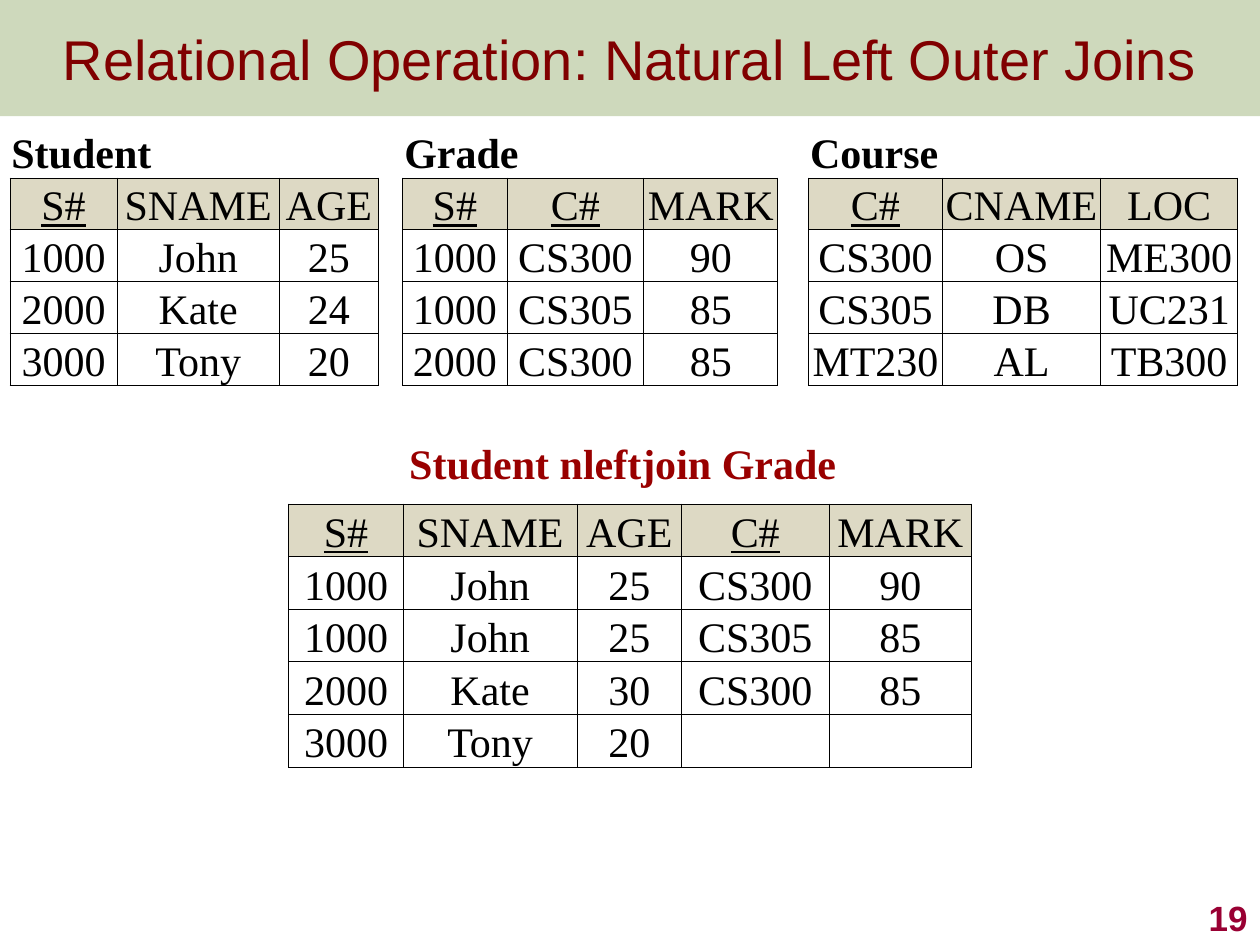
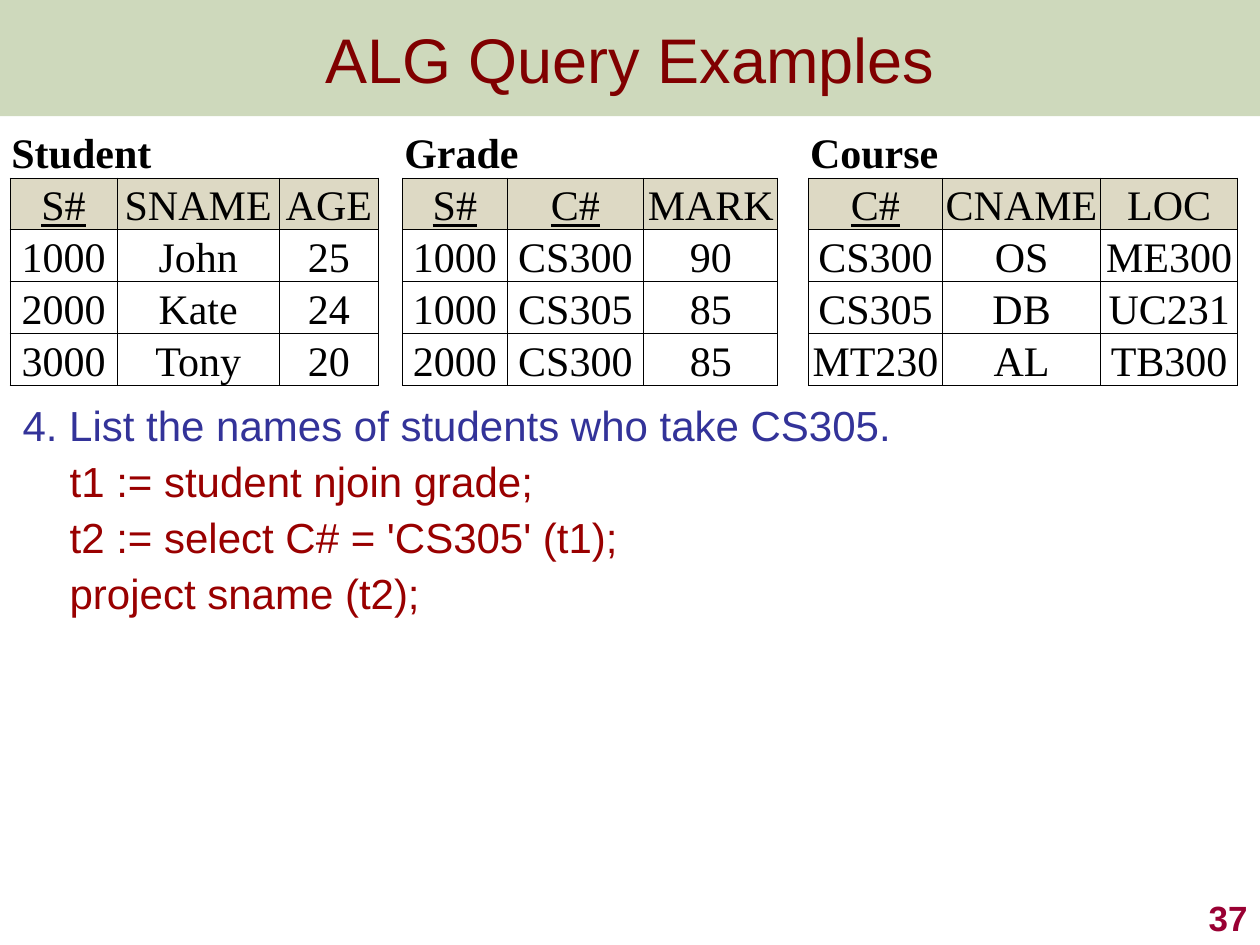
from dataclasses import dataclass, replace

from lxml.etree import SubElement
from pptx import Presentation
from pptx.dml.color import RGBColor as RGB
from pptx.enum.text import MSO_ANCHOR as ANCHOR, MSO_AUTO_SIZE as AUTO_SIZE, PP_ALIGN as ALIGN
from pptx.oxml.ns import qn
from pptx.util import Cm, Pt

NO_GRID_STYLE = "{2D5ABB26-0587-4C30-8999-92F81FD0307C}"
ALL_SIDES = "LRTB"


@dataclass(frozen=True)
class TextStyle:
    font: str
    size: int
    color: RGB
    bold: bool = False
    underline: bool = False
    align: ALIGN = ALIGN.LEFT


@dataclass(frozen=True)
class Theme:
    band: RGB = RGB(0x5F, 0x84, 0x22)
    band_opacity: int = 30
    header_fill: RGB = RGB(0xDD, 0xD9, 0xC4)
    cell_fill: RGB = RGB(0xFF, 0xFF, 0xFF)
    border: RGB = RGB(0, 0, 0)
    border_width: float = 0.5
    title: TextStyle = TextStyle("Arial", 36, RGB(0x80, 0, 0), align=ALIGN.CENTER)
    long_title_size: int = 32
    number: TextStyle = TextStyle("Arial", 20, RGB(0x99, 0, 0x33), bold=True, align=ALIGN.RIGHT)
    cell: TextStyle = TextStyle("Times New Roman", 24, RGB(0, 0, 0), align=ALIGN.CENTER)
    relation_name: TextStyle = TextStyle("Times New Roman", 24, RGB(0, 0, 0), bold=True)
    expression: TextStyle = TextStyle("Times New Roman", 24, RGB(0x99, 0, 0), bold=True)
    question: TextStyle = TextStyle("Arial", 24, RGB(0x33, 0x33, 0x99))
    query: TextStyle = TextStyle("Arial", 24, RGB(0x99, 0, 0))


@dataclass(frozen=True)
class Relation:
    name: str
    columns: tuple[str, ...]
    widths: tuple[float, ...]
    rows: tuple[tuple[str, ...], ...]


THEME = Theme()

DATABASE = (
    Relation("Student", ("S#", "SNAME", "AGE"), (2.16, 3.27, 2.0),
             (("1000", "John", "25"), ("2000", "Kate", "24"), ("3000", "Tony", "20"))),
    Relation("Grade", ("S#", "C#", "MARK"), (2.1, 2.76, 2.7),
             (("1000", "CS300", "90"), ("1000", "CS305", "85"), ("2000", "CS300", "85"))),
    Relation("Course", ("C#", "CNAME", "LOC"), (2.7, 3.19, 2.76),
             (("CS300", "OS", "ME300"), ("CS305", "DB", "UC231"), ("MT230", "AL", "TB300"))),
)
DATABASE_GAPS = (0.49, 0.62)

LEFT_JOIN = Relation(
    "Student nleftjoin Grade", ("S#", "SNAME", "AGE", "C#", "MARK"), (2.31, 3.5, 2.11, 2.97, 2.88),
    (("1000", "John", "25", "CS300", "90"), ("1000", "John", "25", "CS305", "85"),
     ("2000", "Kate", "30", "CS300", "85"), ("3000", "Tony", "20", "", "")))

QUESTION = "4. List the names of students who take CS305."
QUERY = ("t1 := student njoin grade;", "t2 := select C# = 'CS305' (t1);", "project sname (t2);")


def write(p, text: str, style: TextStyle) -> None:
    p.text = text
    p.alignment = style.align
    f = p.font
    f.name, f.size, f.bold, f.underline = style.font, Pt(style.size), style.bold, style.underline
    f.color.rgb = style.color


def place(sp, left: float, top: float, width: float, height: float) -> None:
    sp.left, sp.top, sp.width, sp.height = Cm(left), Cm(top), Cm(width), Cm(height)


def add_label(slide, left: float, top: float, width: float, text: str, style: TextStyle,
              anchor: ANCHOR = ANCHOR.TOP, wrap: bool = True) -> None:
    tf = slide.shapes.add_textbox(Cm(left), Cm(top), Cm(width), Cm(1.27)).text_frame
    tf.word_wrap, tf.vertical_anchor = wrap, anchor
    write(tf.paragraphs[0], text, style)


def add_slide(prs, layout: int, title: str, number: int, style: TextStyle = THEME.title):
    """Add a slide with its title band and slide number."""
    slide = prs.slides.add_slide(prs.slide_layouts[layout])
    sp = slide.shapes.title
    place(sp, 0, 0, 25.4, 2.34)
    sp.fill.solid()
    sp.fill.fore_color.rgb = THEME.band
    color = next(sp.element.iter(qn("a:srgbClr")))
    SubElement(color, qn("a:alpha"), val=str(THEME.band_opacity * 1000))
    tf = sp.text_frame
    tf.auto_size, tf.vertical_anchor = AUTO_SIZE.NONE, ANCHOR.MIDDLE
    write(tf.paragraphs[0], title, style)
    add_label(slide, 20.12, 17.78, 5.28, str(number), THEME.number, ANCHOR.BOTTOM)
    return slide


def add_table(slide, left: float, top: float, widths: list[float], rows: int, row_height: float):
    """Add a table without a built-in style and return it."""
    frame = slide.shapes.add_table(rows, len(widths), Cm(left), Cm(top),
                                   Cm(sum(widths)), Cm(rows * row_height))
    next(frame.element.iter(qn("a:tableStyleId"))).text = NO_GRID_STYLE
    table = frame.table
    table.first_row = table.horz_banding = False
    for column, width in zip(table.columns, widths):
        column.width = Cm(width)
    for row in table.rows:
        row.height = Cm(row_height)
    return table


def set_borders(cell, sides: str) -> None:
    tc_pr = cell._tc.get_or_add_tcPr()
    for i, side in enumerate(sides):
        ln = SubElement(tc_pr, qn(f"a:ln{side}"), w=str(Pt(THEME.border_width)))
        SubElement(SubElement(ln, qn("a:solidFill")), qn("a:srgbClr"), val=str(THEME.border))
        tc_pr.insert(i, ln)


def fill_cell(cell, text: str, style: TextStyle = THEME.cell, fill: RGB = THEME.cell_fill,
              sides: str = ALL_SIDES) -> None:
    cell.margin_left = cell.margin_right = cell.margin_top = Cm(0.03)
    cell.margin_bottom = 0
    cell.vertical_anchor = ANCHOR.BOTTOM
    cell.fill.solid()
    cell.fill.fore_color.rgb = fill
    set_borders(cell, sides)
    write(cell.text_frame.paragraphs[0], text, style)


def fill_relation(table, relation: Relation, top: int = 0, left: int = 0) -> None:
    """Write the header and rows; key columns, marked by #, are underlined."""
    for c, column in enumerate(relation.columns, left):
        style = replace(THEME.cell, underline=column.endswith("#"))
        fill_cell(table.cell(top, c), column, style, THEME.header_fill)
    for r, row in enumerate(relation.rows, top + 1):
        for c, value in enumerate(row, left):
            fill_cell(table.cell(r, c), value)


def add_database(slide) -> None:
    """Draw the three relations side by side in one table, with spacer columns between."""
    widths = list(DATABASE[0].widths)
    for gap, relation in zip(DATABASE_GAPS, DATABASE[1:]):
        widths += [gap, *relation.widths]
    row_count = len(DATABASE[0].rows) + 2
    table = add_table(slide, 0.2, 2.54, widths, row_count, 0.97)
    left = 0
    for relation in DATABASE:
        if left:
            for r in range(row_count):
                fill_cell(table.cell(r, left - 1), "", sides="LR" if r else "")
        last = left + len(relation.columns) - 1
        for c in range(left, last + 1):
            fill_cell(table.cell(0, c), "" if c > left else relation.name,
                      THEME.relation_name, sides="B")
        table.cell(0, left).merge(table.cell(0, last))
        fill_relation(table, relation, top=1, left=left)
        left = last + 2


def add_left_join_slide(prs) -> None:
    style = replace(THEME.title, size=THEME.long_title_size)
    slide = add_slide(prs, 5, "Relational Operation: Natural Left Outer Joins", 19, style)
    add_database(slide)
    add_label(slide, 8, 8.69, 9.42, LEFT_JOIN.name, THEME.expression, wrap=False)
    table = add_table(slide, 5.82, 10.16, list(LEFT_JOIN.widths), len(LEFT_JOIN.rows) + 1, 1.06)
    fill_relation(table, LEFT_JOIN)


def add_query_slide(prs) -> None:
    slide = add_slide(prs, 1, "ALG Query Examples", 37)
    add_database(slide)
    body = slide.placeholders[1]
    place(body, 0.2, 8.05, 23.5, 9.09)
    tf = body.text_frame
    tf.auto_size, tf.margin_right = AUTO_SIZE.NONE, 0
    for i, line in enumerate((QUESTION, *QUERY)):
        p = tf.add_paragraph() if i else tf.paragraphs[0]
        p_pr = p._p.get_or_add_pPr()
        p_pr.set("marL", str(Cm(0.95)))
        p_pr.set("indent", str(0 if i else -Cm(0.95)))
        SubElement(p_pr, qn("a:buNone"))
        p.line_spacing = 0.9
        p.space_before = Pt(6 if i else 0)
        write(p, line, THEME.query if i else THEME.question)


def main() -> None:
    prs = Presentation()
    prs.slide_width, prs.slide_height = Cm(25.4), Cm(19.05)
    add_left_join_slide(prs)
    add_query_slide(prs)
    prs.save("out.pptx")


if __name__ == "__main__":
    main()
